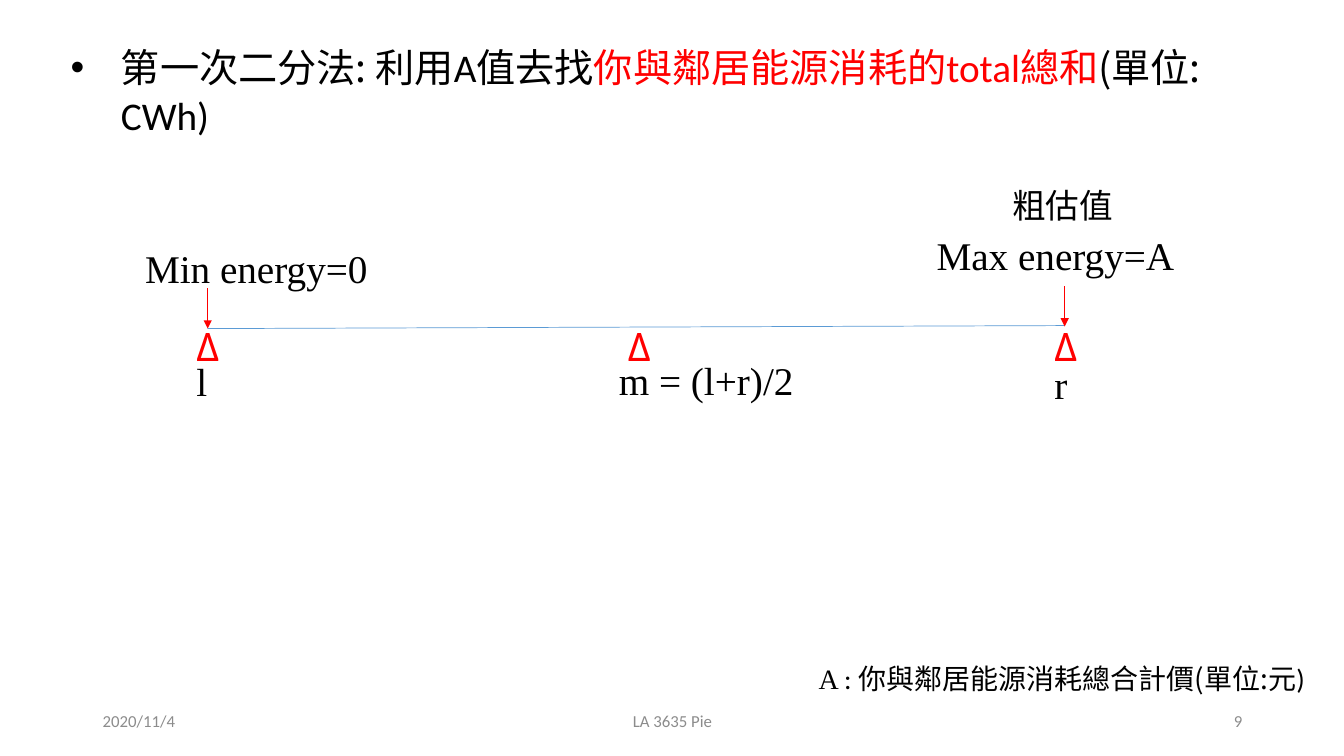
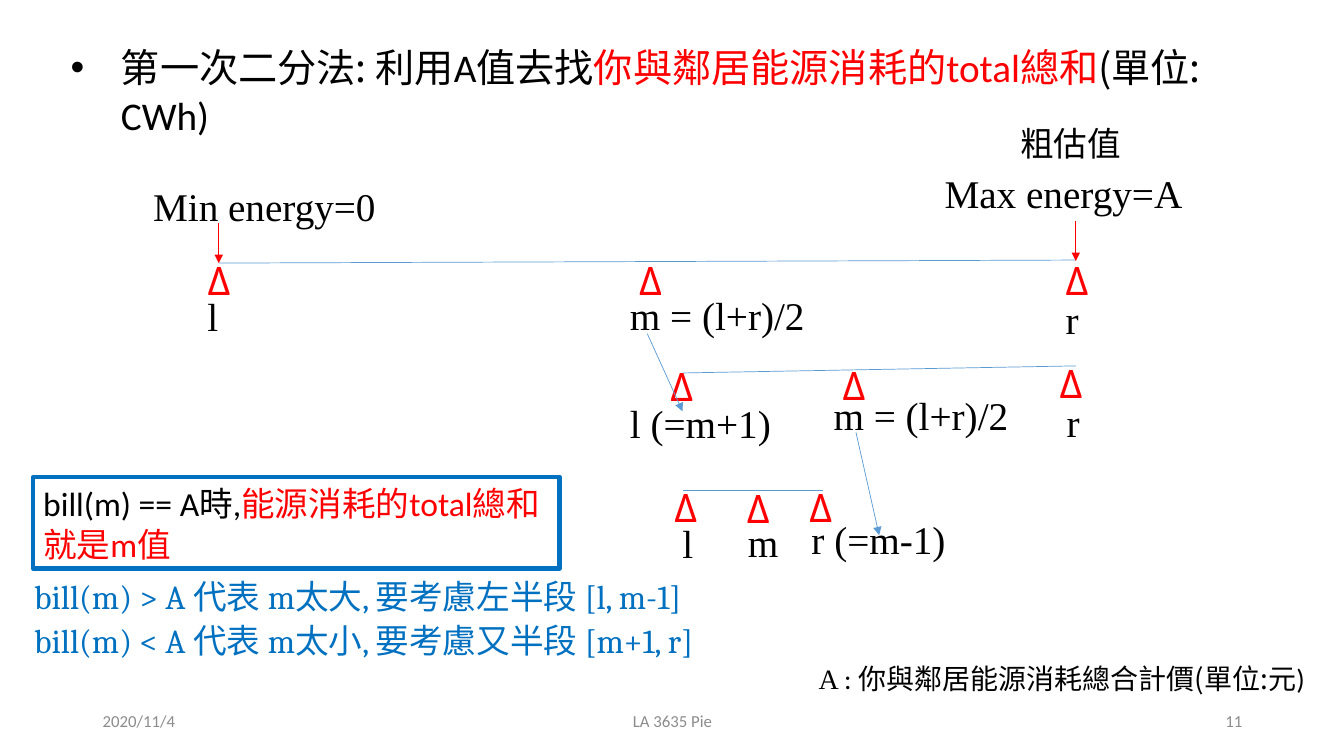
from pptx import Presentation, util as u
from pptx.dml.color import RGBColor
from pptx.enum import shapes, text
from pptx.oxml.ns import qn
from lxml import etree

COLORS = {"black": "000000", "red": "FF0000", "blue": "0070C0", "axis": "5B9BD5", "grey": "8C8C8C"}
CJK, SANS, SERIF, CODE, SYMBOL = "Noto Sans CJK SC", "Calibri", "Times New Roman", "Cambria", "Noto Sans"
LINE_HEIGHT = 1.22


def color(name):
    return RGBColor.from_string(COLORS[name])


class Deck:
    def __init__(self):
        self.prs = Presentation()
        self.prs.slide_width = u.Inches(13.33)
        self.prs.slide_height = u.Inches(7.5)
        self.s = None

    def slide(self, number):
        self.s = self.prs.slides.add_slide(self.prs.slide_layouts[5])
        self.title()
        self.footer(0.92, 3, "2020/11/4", text.PP_ALIGN.LEFT)
        self.footer(4.42, 4.5, "LA 3635 Pie", text.PP_ALIGN.CENTER)
        self.footer(9.42, 3, number, text.PP_ALIGN.RIGHT)
        self.text(8.02, 6.51, 5.07, 0.44, [
            ("A ", SERIF), (": ", SANS), ("你與鄰居能源消耗總合計價(單位:元", CJK), (")", SANS)], 20)

    def title(self):
        sp = self.s.shapes.title
        sp.left, sp.top, sp.width, sp.height = map(u.Inches, (0.6, 0.37, 11.52, 1.04))
        p = self.set_text(sp, [
            ("第一次二分法: 利用", CJK), ("A", SANS), ("值去找", CJK),
            ("你與鄰居能源消耗的", CJK, "red"), ("total", SANS, "red"), ("總和", CJK, "red"),
            ("(單位: ", CJK), ("CWh) ", SANS)], 28)
        pPr = p._p.get_or_add_pPr()
        pPr.set("marL", str(u.Inches(0.5)))
        pPr.set("indent", str(u.Inches(-0.5)))
        etree.SubElement(pPr, qn("a:buFont")).set("typeface", "Arial")
        etree.SubElement(pPr, qn("a:buChar")).set("char", "•")

    def set_text(self, sp, runs, size, align=text.PP_ALIGN.LEFT, anchor=text.MSO_ANCHOR.TOP):
        tf = sp.text_frame
        tf.word_wrap = True
        tf.auto_size = text.MSO_AUTO_SIZE.NONE
        tf.vertical_anchor = anchor
        p = tf.paragraphs[0]
        p.alignment = align
        p.line_spacing = u.Pt(round(size * LINE_HEIGHT, 1))
        for words, font, *tint in runs:
            r = p.add_run()
            r.text = words
            r.font.size = u.Pt(size)
            r.font.name = font
            r.font.color.rgb = color(tint[0] if tint else "black")
            if font == CJK:
                etree.SubElement(r._r.get_or_add_rPr(), qn("a:ea")).set("typeface", CJK)
        return p

    def text(self, x, y, w, h, runs, size=28, **style):
        sp = self.s.shapes.add_textbox(*map(u.Inches, (x, y, w, h)))
        self.set_text(sp, runs, size, **style)

    def footer(self, x, w, words, align):
        self.text(x, 6.95, w, 0.4, [(words, SANS, "grey")], 12,
                  align=align, anchor=text.MSO_ANCHOR.MIDDLE)

    def label(self, x, y, words, w=2.33):
        self.text(x, y, w, 0.57, [(words, SERIF)])

    def marker(self, x, y):
        self.text(x, y, 0.71, 0.57, [("Δ", SYMBOL, "red")])

    def box(self, x, y, w, h, runs, size):
        sp = self.s.shapes.add_shape(shapes.MSO_SHAPE.RECTANGLE, *map(u.Inches, (x, y, w, h)))
        sp.shadow.inherit = False
        sp.fill.background()
        sp.line.color.rgb = color("blue")
        sp.line.width = u.Pt(3)
        self.set_text(sp, runs, size)

    def line(self, x1, y1, x2, y2, tint="axis", arrow=False):
        c = self.s.shapes.add_connector(shapes.MSO_CONNECTOR.STRAIGHT, *map(u.Inches, (x1, y1, x2, y2)))
        c.line.color.rgb = color(tint)
        c.line.width = u.Pt(0.5)
        spPr = c._element.spPr
        if arrow:
            etree.SubElement(spPr.find(qn("a:ln")), qn("a:tailEnd")).set("type", "triangle")
        etree.SubElement(spPr, qn("a:effectLst"))

    def full_range(self, x, y, caption_x, caption_y):
        self.line(x, y, x + 8.5, y - 0.03)
        self.line(x, y - 0.4, x, y, "red", True)
        self.line(x + 8.5, y - 0.42, x + 8.5, y - 0.02, "red", True)
        for dx, name, dy in ((-0.21, "l", 0.23), (4.07, "m = (l+r)/2", 0.22), (8.3, "r", 0.26)):
            self.marker(x + dx, y - 0.12)
            self.label(x + dx - (0.09 if name[0] == "m" else 0), y + dy, name)
        self.label(caption_x, caption_y, "Min energy=0", 3)
        self.label(caption_x + 7.85, caption_y - 0.13, "Max energy=A", 2.75)
        self.text(caption_x + 8.6, caption_y - 0.59, 1.57, 0.5, [("粗估值", CJK)], 24)


deck = Deck()
deck.slide("9")
deck.full_range(2.06, 3.26, 1.34, 2.37)

deck.slide("11")
deck.full_range(2.17, 2.61, 1.42, 1.75)

deck.line(6.77, 3.7, 10.67, 3.63)
deck.line(6.77, 4.86, 8.16, 4.86)
for x, y, label_x, label_y, name in (
        (6.55, 3.54, 6.15, 3.9, "l (=m+1)"),
        (8.26, 3.53, 8.17, 3.82, "m = (l+r)/2"),
        (10.41, 3.51, 10.48, 3.89, "r"),
        (6.59, 4.74, 6.67, 5.09, "l"),
        (7.31, 4.75, 7.32, 5.08, "m"),
        (7.93, 4.74, 7.95, 5.06, "r (=m-1)")):
    deck.marker(x, y)
    deck.label(label_x, label_y, name)
deck.line(6.42, 3.31, 6.77, 4.08, arrow=True)
deck.line(8.49, 4.29, 8.72, 5.31, arrow=True)

deck.box(0.33, 4.73, 5.22, 0.91, [
    ("bill(m) == A", SANS), ("時", CJK), (",", SANS), ("能源消耗的", CJK, "red"), ("total", SANS, "red"),
    ("總和就是", CJK, "red"), ("m", SANS, "red"), ("值", CJK, "red")], 24)
for y, sign, verdict, half, interval in (
        (5.66, ">", "太大", "要考慮左半段 ", "[l, m-1]"),
        (6.09, "<", "太小", "要考慮又半段 ", "[m+1, r]")):
    deck.text(0.24, y, 8.15, 0.5, [
        (f"bill(m) {sign} A ", CODE, "blue"), ("代表 ", CJK, "blue"), ("m", CODE, "blue"),
        (verdict, CJK, "blue"), (", ", CODE, "blue"), (half, CJK, "blue"), (interval, CODE, "blue")], 24)

deck.prs.save("out.pptx")
